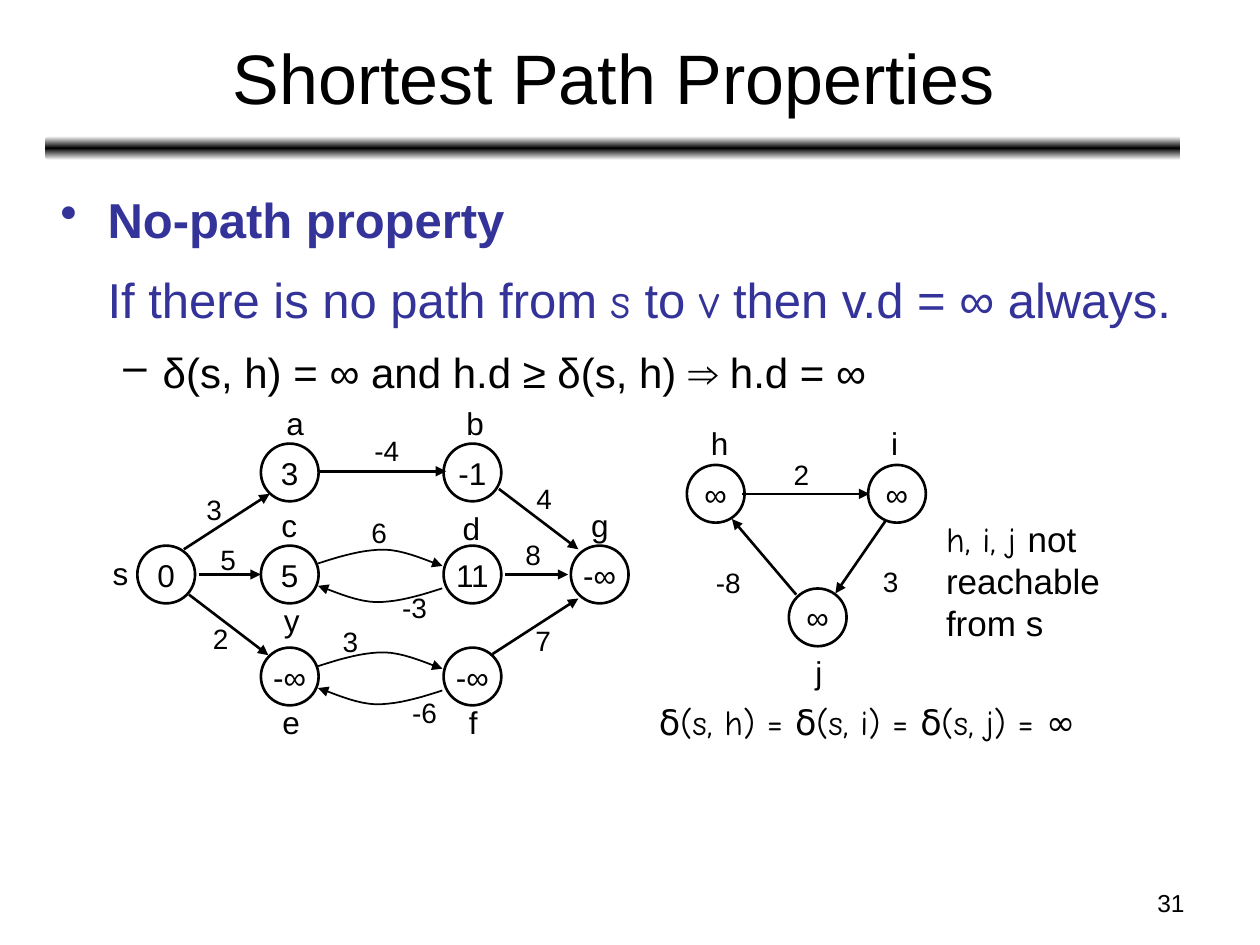
from copy import deepcopy

from pptx import Presentation
from pptx.dml.color import RGBColor
from pptx.enum import shapes, text
from pptx.oxml import ns, parse_xml
from pptx.util import Pt

SANS, COMIC = "Arial", "Comic Neue"
BLACK, BLUE = "000000", "333399"
NODE = 33

# Runs are (text, font, bold); paragraphs are (bullet, margin, hang, size, colour, runs)
BODY = [
    ("•", 27, 27, 28, BLUE, [("No-path property", SANS, True)]),
    (None, 27, 0, 28, BLUE, [
        ("If there is no path from ", SANS, False), ("s", COMIC, False),
        (" to ", SANS, False), ("v", COMIC, False),
        (" then v.d = ∞ always.", SANS, False)]),
    ("–", 58.5, 22.5, 24, BLACK,
     [("δ(s, h) = ∞ and h.d ≥ δ(s, h) ⇒ h.d = ∞", SANS, False)]),
]
NOTES = [
    (369.4, 396.7, 258.5, 31, [[("δ(s, h) = δ(s, i) = δ(s, j) = ∞", COMIC)]]),
    (533.5, 292.3, 102.2, 79, [[("h, i, j ", COMIC), ("not", SANS)],
                               [("reachable", SANS)], [("from s", SANS)]]),
]

# Nodes, names and weights are (text, centre x, centre y); edges run from, to
LEFT, RIGHT = 165.6, 270
TOP, MID, LOW = 270, 328.3, 386.6
GRAPHS = [
    {
        "nodes": [("0", 95, MID), ("3", LEFT, TOP), ("-1", RIGHT, TOP),
                  ("5", LEFT, MID), ("11", RIGHT, MID), ("-∞", LEFT, LOW),
                  ("-∞", RIGHT, LOW), ("-∞", 342.7, MID)],
        "names": [("s", 68.8, 327.6), ("a", 168.5, 241.9), ("b", 271.4, 241.9),
                  ("c", 165.2, 300.2), ("d", 269.3, 301.7), ("g", 342.7, 300.2),
                  ("y", 166.7, 354.2), ("e", 166.3, 412.6), ("f", 270.4, 412.6)],
        "weights": [("3", 122.4, 291.2), ("-4", 221, 257.4), ("4", 311, 284.8),
                    ("5", 130.3, 320), ("6", 216.7, 304.2), ("-3", 236.9, 347.4),
                    ("8", 304.6, 317.2), ("2", 126, 364.7), ("3", 200.2, 366.8),
                    ("-6", 242.6, 407.2), ("7", 310.3, 366.1)],
        "edges": [(182.2, 269.3, 254.9, 269.3), (105.1, 313.9, 154.1, 282.2),
                  (108, 339.8, 153.4, 374.4), (285.1, 279.4, 330.5, 313.9),
                  (281.5, 373.7, 330.5, 342), (113.8, MID, 149, MID),
                  (288.7, MID, 324.7, MID)],
        "arcs": [(181.8, 322, 1), (252.7, 336.2, -1),
                 (181.8, 380.7, 1), (252.7, 394.6, -1)],
    },
    {
        "nodes": [("∞", 409, 282.2), ("∞", 512.6, 282.2), ("∞", 467.3, 352.8)],
        "names": [("h", 411.1, 253.4), ("i", 511.2, 253.4), ("j", 468, 383.8)],
        "weights": [("2", 457.9, 271.1), ("3", 509, 332.3), ("-8", 416.2, 333)],
        "edges": [(424.1, 282.2, 496.8, 282.2), (506.2, 297.4, 477.4, 339.1),
                  (455, 339.8, 418.3, 296.6)],
        "arcs": [],
    },
]
# Two cubic curves, relative to the start of an arc
CURVES = [[(0, 0), (13, -4.3), (26, -8), (38, -7.9)],
          [(38, -7.9), (50, -7.6), (65.5, -0.2), (71, 1.4)]]
STEPS = 10


def color(code):
    return RGBColor.from_string(code)


def write(para, words, font, size, code=BLACK, bold=False):
    run = para.add_run()
    run.text = words
    run.font.name, run.font.size, run.font.bold = font, Pt(size), bold
    run.font.color.rgb = color(code)


def box(pool, x, y, w, h, wrap=False):
    shape = pool.add_textbox(Pt(x), Pt(y), Pt(w), Pt(h))
    shape.text_frame.word_wrap = wrap
    return shape.text_frame


def label(pool, size, words, x, y):
    """Write a short text centred on x, y."""
    wide = 29 if len(words) > 1 else 19 if words in "fij" else 24
    high = 28.8 if size == 18 else 26.6
    para = box(pool, x - wide / 2, y - high / 2, wide, high).paragraphs[0]
    para.alignment = text.PP_ALIGN.CENTER
    write(para, words, SANS, size)


def arrow(shape, width):
    """Style an edge and put an arrowhead at its end."""
    shape.line.color.rgb = color(BLACK)
    shape.line.width = Pt(width)
    line = shape.line._get_or_add_ln()
    line.append(parse_xml(f'<a:tailEnd {ns.nsdecls("a")} type="triangle"/>'))


def node(pool, words, x, y):
    shape = pool.add_shape(shapes.MSO_SHAPE.OVAL, Pt(x - NODE / 2),
                           Pt(y - NODE / 2), Pt(NODE), Pt(NODE))
    shape.shadow.inherit = False
    shape.fill.background()
    shape.line.color.rgb = color(BLACK)
    shape.line.width = Pt(1.5)
    frame = shape.text_frame
    frame.word_wrap = False
    frame.vertical_anchor = text.MSO_ANCHOR.MIDDLE
    para = frame.paragraphs[0]
    para.alignment = text.PP_ALIGN.CENTER
    write(para, words, SANS, 18)


def edge(pool, *ends):
    line = pool.add_connector(shapes.MSO_CONNECTOR.STRAIGHT, *map(Pt, ends))
    arrow(line, 1.5)
    line._element.spPr.append(parse_xml(f'<a:effectLst {ns.nsdecls("a")}/>'))


def blend(a, b, c, d, t):
    """Value of a cubic curve at t."""
    s = 1 - t
    return a * s**3 + 3 * b * s * s * t + 3 * c * s * t * t + d * t**3


def arc(pool, x, y, way):
    """Draw a curved edge; way -1 turns it by half a circle."""
    dots = [tuple(Pt(start + way * blend(*axis, i / STEPS))
                  for start, axis in zip((x, y), zip(*curve)))
            for curve in CURVES for i in range(1, STEPS + 1)]
    path = pool.build_freeform(Pt(x), Pt(y))
    path.add_line_segments(dots, close=False)
    shape = path.convert_to_shape()
    shape.shadow.inherit = False
    shape.fill.background()
    arrow(shape, 1)


def rule(pool):
    bar = pool.add_shape(shapes.MSO_SHAPE.ROUNDED_RECTANGLE,
                         Pt(25.9), Pt(77.8), Pt(648.7), Pt(13.7))
    bar.shadow.inherit = False
    bar.line.fill.background()
    bar.fill.gradient()
    bar.fill.gradient_angle = 90
    stops = bar._element.spPr.find(".//" + ns.qn("a:gsLst"))
    stops.append(deepcopy(stops[-1]))
    for stop, place, code in zip(bar.fill.gradient_stops, (0, 0.5, 1),
                                 ("FFFFFF", BLACK, "FFFFFF")):
        stop.position = place
        stop.color.rgb = color(code)


def body(pool):
    frame = box(pool, 27.4, 97.8, 671.8, 399.6, True)
    for i, (mark, margin, hang, size, code, runs) in enumerate(BODY):
        para = frame.add_paragraph() if i else frame.paragraphs[0]
        para.line_spacing = 1.2
        para.space_before = Pt(size * 0.2 if i else 0)
        props = para._p.get_or_add_pPr()
        props.set("marL", str(Pt(margin)))
        props.set("indent", str(-Pt(hang)))
        if mark:
            props.append(parse_xml(f'<a:buChar {ns.nsdecls("a")} char="{mark}"/>'))
        for words, font, bold in runs:
            write(para, words, font, size, code, bold)


def main():
    deck = Presentation()
    deck.slide_width, deck.slide_height = Pt(720), Pt(540)
    slide = deck.slides.add_slide(deck.slide_layouts[5])
    pool = slide.shapes

    title = pool.title
    title.left, title.top, title.width, title.height = map(Pt, (26.6, 7.9, 648, 71.3))
    title.text_frame.vertical_anchor = text.MSO_ANCHOR.MIDDLE
    para = title.text_frame.paragraphs[0]
    para.alignment = text.PP_ALIGN.CENTER
    write(para, "Shortest Path Properties", SANS, 40)

    rule(pool)
    body(pool)
    for graph in GRAPHS:
        group = pool.add_group_shape().shapes
        for item in graph["nodes"]:
            node(group, *item)
        for item in graph["edges"]:
            edge(group, *item)
        for item in graph["arcs"]:
            arc(group, *item)
        for kind, size in (("names", 18), ("weights", 16)):
            for item in graph[kind]:
                label(group, size, *item)

    for x, y, w, h, lines in NOTES:
        frame = box(pool, x, y, w, h)
        for i, runs in enumerate(lines):
            para = frame.add_paragraph() if i else frame.paragraphs[0]
            for words, font in runs:
                write(para, words, font, 20)

    para = box(pool, 516.2, 504, 167.8, 25.2, True).paragraphs[0]
    para.alignment = text.PP_ALIGN.RIGHT
    write(para, "31", SANS, 14)
    deck.save("out.pptx")


if __name__ == "__main__":
    main()
